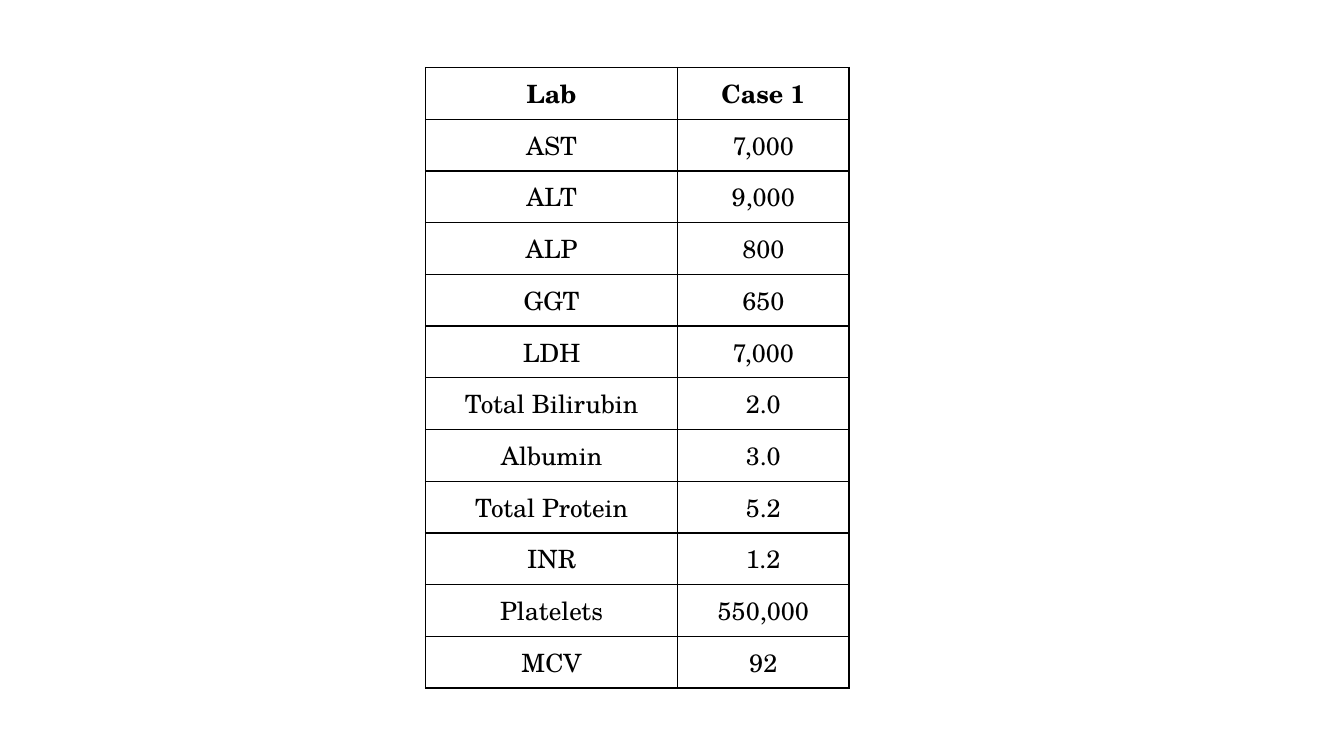
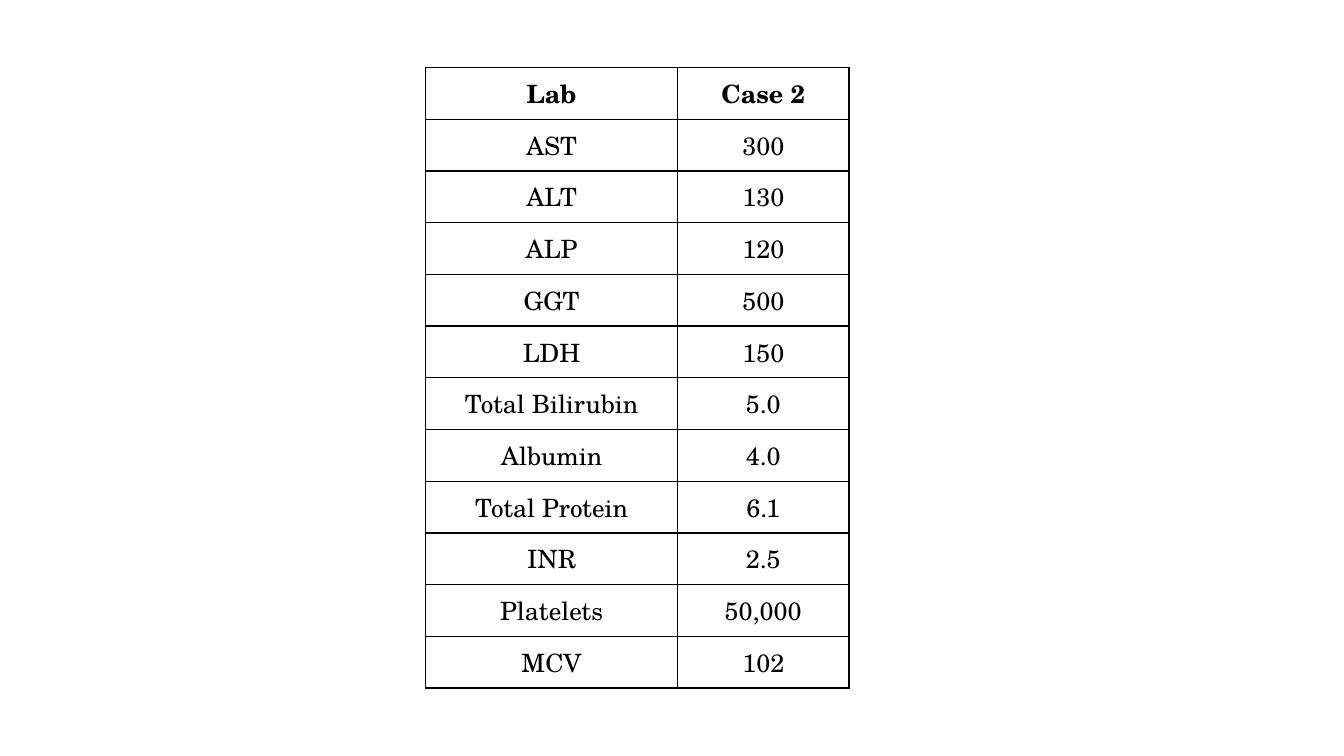
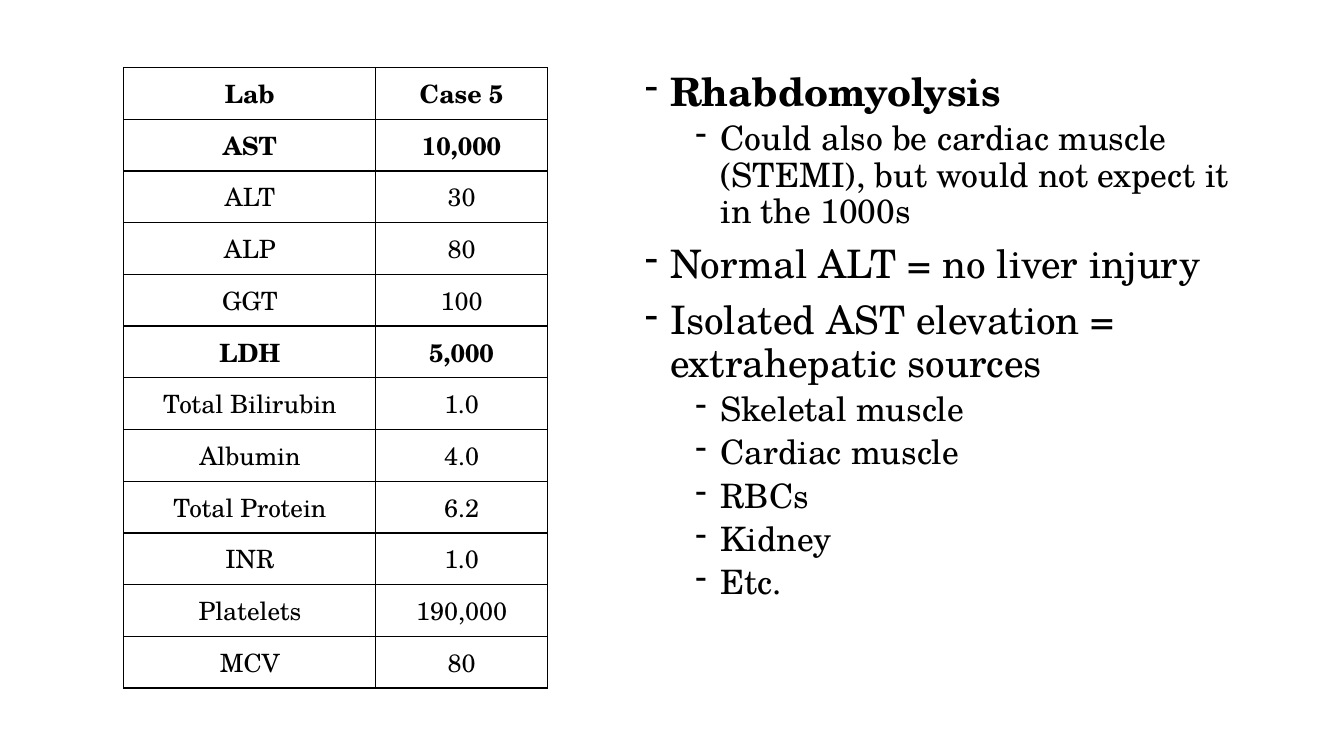
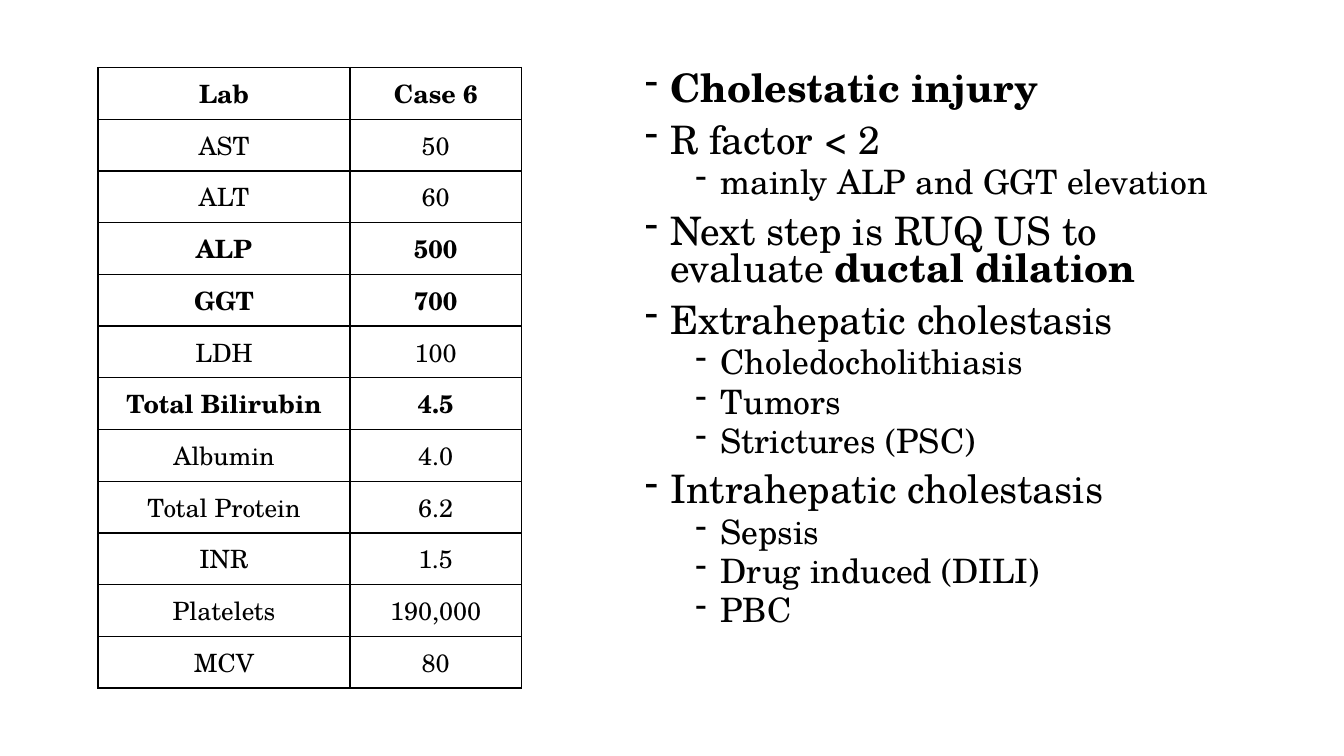
"""Build four slides of liver lab cases with tables and teaching points."""
import pptx
import pptx.dml.color
import pptx.enum.text
import pptx.oxml.ns
import pptx.util
from lxml import etree

Pt = pptx.util.Pt
LABS = ["AST", "ALT", "ALP", "GGT", "LDH", "Total Bilirubin", "Albumin",
        "Total Protein", "INR", "Platelets", "MCV"]
CASES = [
    {"name": "Case 1", "left": 304, "bold_labs": [],
     "values": ["7,000", "9,000", "800", "650", "7,000", "2.0", "3.0", "5.2", "1.2", "550,000", "92"]},
    {"name": "Case 2", "left": 304, "bold_labs": [],
     "values": ["300", "130", "120", "500", "150", "5.0", "4.0", "6.1", "2.5", "50,000", "102"]},
    {"name": "Case 5", "left": 88.5, "bold_labs": ["AST", "LDH"],
     "values": ["10,000", "30", "80", "100", "5,000", "1.0", "4.0", "6.2", "1.0", "190,000", "80"],
     "line_spacing": 0.9,
     "points": [
         (0, "*Rhabdomyolysis*"),
         (1, "Could also be cardiac muscle (STEMI), but would not expect it in the 1000s"),
         (0, "Normal ALT = no liver injury"),
         (0, "Isolated AST elevation = extrahepatic sources"),
         (1, "Skeletal muscle"),
         (1, "Cardiac muscle"),
         (1, "RBCs"),
         (1, "Kidney"),
         (1, "Etc."),
     ]},
    {"name": "Case 6", "left": 70, "bold_labs": ["ALP", "GGT", "Total Bilirubin"],
     "values": ["50", "60", "500", "700", "100", "4.5", "4.0", "6.2", "1.5", "190,000", "80"],
     "line_spacing": 0.8,
     "points": [
         (0, "*Cholestatic injury*"),
         (0, "R factor < 2"),
         (1, "mainly ALP and GGT elevation"),
         (0, "Next step is RUQ US to evaluate *ductal dilation*"),
         (0, "Extrahepatic cholestasis"),
         (1, "Choledocholithiasis"),
         (1, "Tumors"),
         (1, "Strictures (PSC)"),
         (0, "Intrahepatic cholestasis"),
         (1, "Sepsis"),
         (1, "Drug induced (DILI)"),
         (1, "PBC"),
     ]},
]


class LabDeck:
    """Hold the shared style and the current slide."""

    COLOURS = {"ink": "000000", "paper": "FFFFFF"}
    FONT = "TeX Gyre Schola"
    TOP, ROW_HEIGHT, COLUMN_WIDTHS = 48.25, 36.96, (180, 122.4)
    POINTS_LEFT, POINTS_WIDTH = 453.6, 440
    LEVELS = [
        {"size": 28, "space_before": 10, "indent": 18},
        {"size": 24, "space_before": 5, "indent": 54},
    ]

    def __init__(self):
        """Start a widescreen presentation."""
        self.presentation = pptx.Presentation()
        self.presentation.slide_width = Pt(960)
        self.presentation.slide_height = Pt(540)
        self.slide = None

    def add_slide(self):
        """Add a blank slide and make it current."""
        self.slide = self.presentation.slides.add_slide(self.presentation.slide_layouts[6])

    def colour(self, name):
        """Return a named colour."""
        return pptx.dml.color.RGBColor.from_string(self.COLOURS[name])

    def apply(self, target, values):
        """Set each attribute of the target from a dict."""
        for name, value in values.items():
            setattr(target, name, value)

    def add_run(self, paragraph, text, size, bold):
        """Add text in the shared font."""
        run = paragraph.add_run()
        run.text = text
        self.apply(run.font, {"name": self.FONT, "size": Pt(size), "bold": bold})
        run.font.color.rgb = self.colour("ink")

    def add_borders(self, cell):
        """Draw a one-point line on every side of a cell."""
        properties = cell._tc.get_or_add_tcPr()
        qn = pptx.oxml.ns.qn
        for side in ("L", "R", "T", "B"):
            line = etree.SubElement(properties, qn(f"a:ln{side}"), w=str(Pt(1)))
            fill = etree.SubElement(line, qn("a:solidFill"))
            etree.SubElement(fill, qn("a:srgbClr"), val=self.COLOURS["ink"])

    def add_cell(self, cell, text, bold):
        """Fill and format one table cell."""
        self.add_borders(cell)
        cell.fill.solid()
        cell.fill.fore_color.rgb = self.colour("paper")
        cell.vertical_anchor = pptx.enum.text.MSO_ANCHOR.MIDDLE
        paragraph = cell.text_frame.paragraphs[0]
        paragraph.alignment = pptx.enum.text.PP_ALIGN.CENTER
        self.add_run(paragraph, text, 18, bold)

    def add_lab_table(self, case):
        """Add the table of labs for one case."""
        rows = [("Lab", case["name"]), *zip(LABS, case["values"])]
        table = self.slide.shapes.add_table(
            len(rows), 2, Pt(case["left"]), Pt(self.TOP),
            Pt(sum(self.COLUMN_WIDTHS)), Pt(self.ROW_HEIGHT * len(rows))).table
        self.apply(table, {"first_row": False, "horz_banding": False})
        for column, width in zip(table.columns, self.COLUMN_WIDTHS):
            column.width = Pt(width)
        for row, texts in zip(table.rows, rows):
            row.height = Pt(self.ROW_HEIGHT)
            bold = texts[0] in ["Lab", *case["bold_labs"]]
            for cell, text in zip(row.cells, texts):
                self.add_cell(cell, text, bold)

    def add_points(self, points, line_spacing):
        """Add a dashed list with text between asterisks in bold."""
        box = self.slide.shapes.add_textbox(
            Pt(self.POINTS_LEFT), Pt(self.TOP), Pt(self.POINTS_WIDTH),
            Pt(self.ROW_HEIGHT * (len(LABS) + 1)))
        frame = box.text_frame
        frame.word_wrap = True
        for index, (level, text) in enumerate(points):
            paragraph = frame.add_paragraph() if index else frame.paragraphs[0]
            style = self.LEVELS[level]
            properties = paragraph._p.get_or_add_pPr()
            properties.set("marL", str(Pt(style["indent"])))
            properties.set("indent", str(-Pt(18)))
            etree.SubElement(properties, pptx.oxml.ns.qn("a:buFontTx"))
            etree.SubElement(properties, pptx.oxml.ns.qn("a:buChar"), char="-")
            self.apply(paragraph, {
                "level": level,
                "line_spacing": line_spacing,
                "space_before": Pt(style["space_before"] if index else 0),
            })
            for position, part in enumerate(text.split("*")):
                if part:
                    self.add_run(paragraph, part, style["size"], position % 2 == 1)


def main():
    """Build and save the slides."""
    deck = LabDeck()
    for case in CASES:
        deck.add_slide()
        deck.add_lab_table(case)
        if "points" in case:
            deck.add_points(case["points"], case["line_spacing"])
    deck.presentation.save("out.pptx")


if __name__ == "__main__":
    main()
